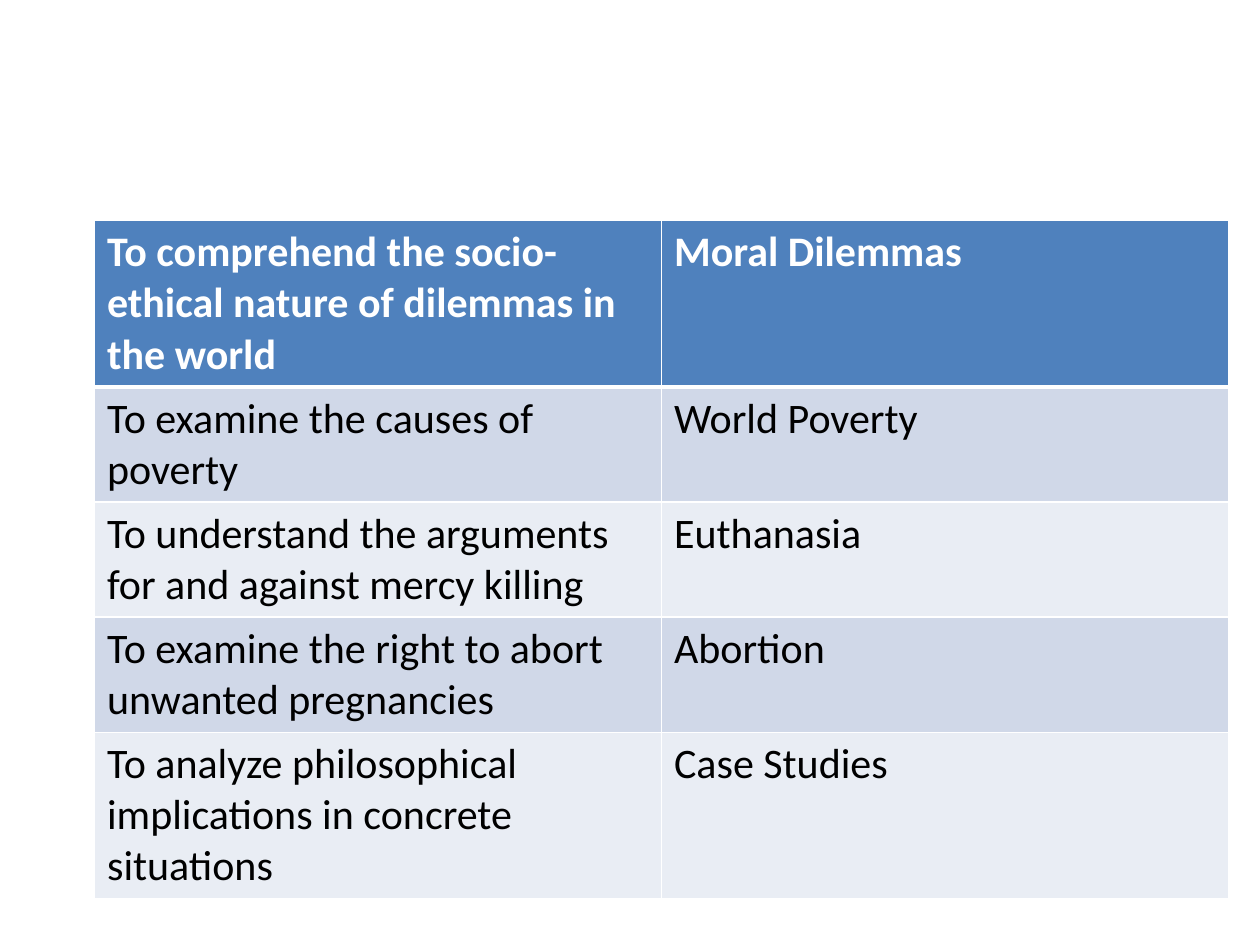
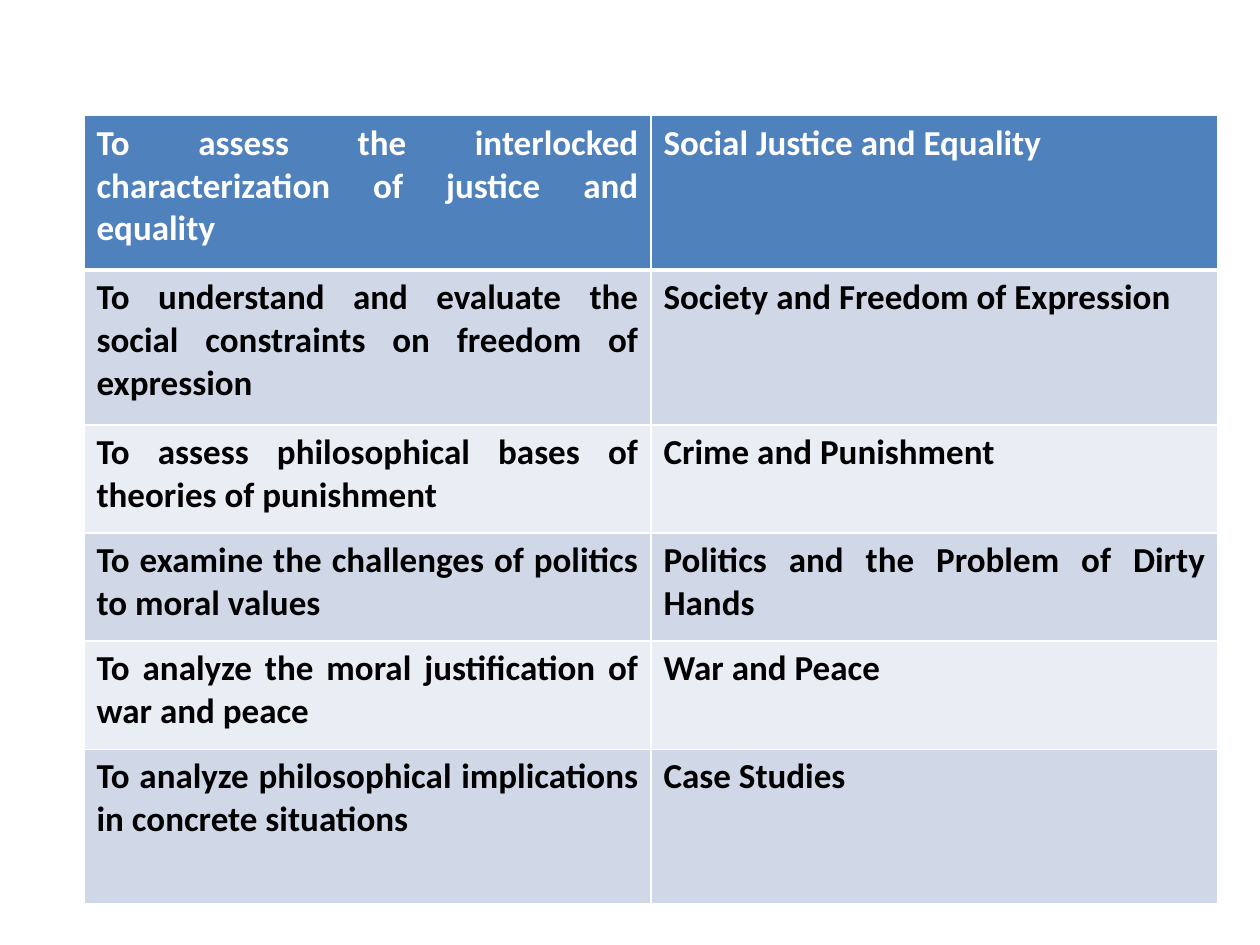
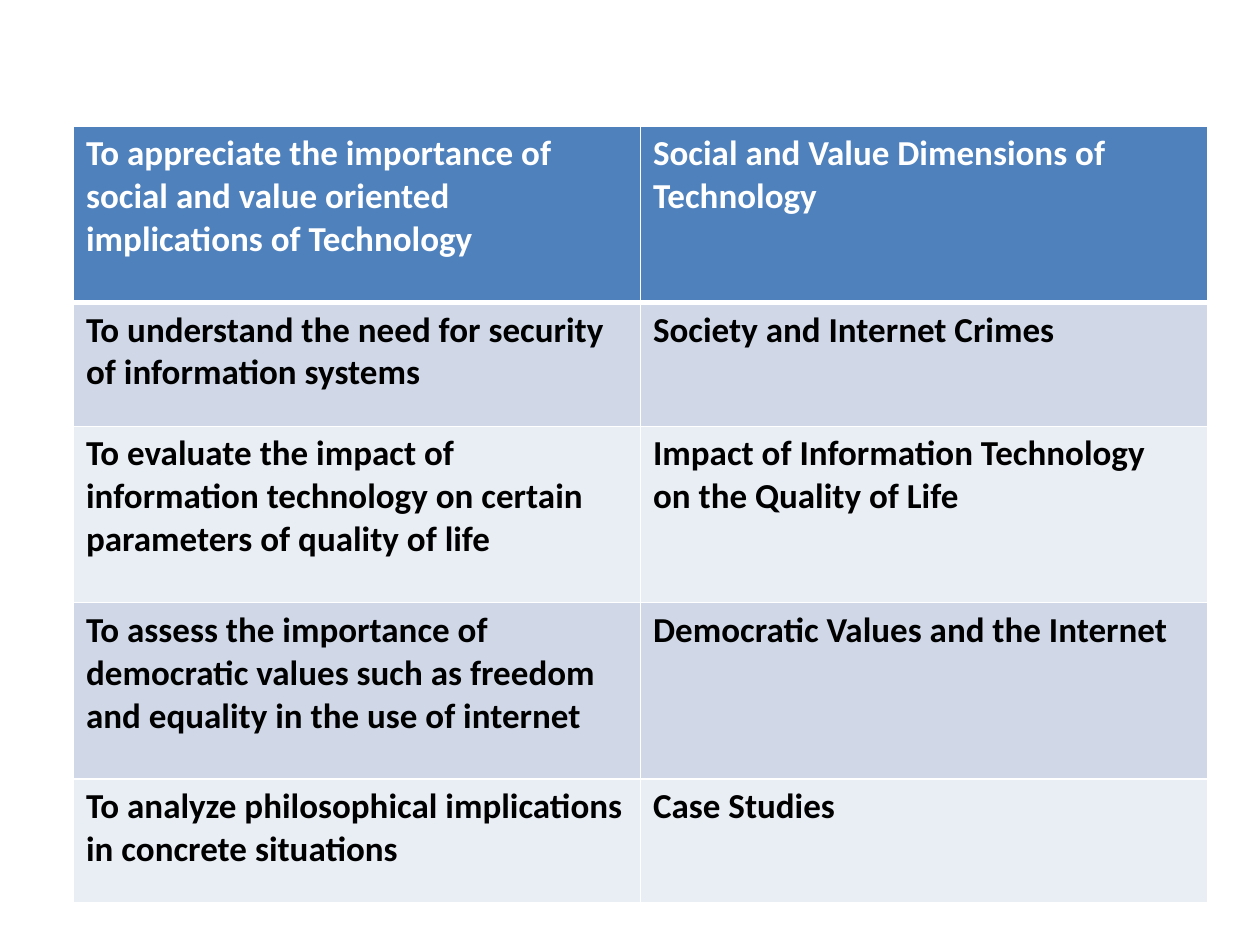
from dataclasses import dataclass

from lxml import etree
from pptx import Presentation
from pptx.dml.color import RGBColor
from pptx.enum.text import PP_ALIGN
from pptx.oxml.ns import qn
from pptx.util import Pt

LEFT = PP_ALIGN.LEFT
JUST = PP_ALIGN.JUSTIFY
BLANK = 6


@dataclass(frozen=True)
class Theme:
    face: str = "Calibri"
    large: int = 24
    small: int = 20
    head: str = "4F81BD"
    bands: tuple = ("D0D8E8", "E9EDF4")
    light: str = "FFFFFF"
    dark: str = "000000"
    thin: int = 1
    thick: int = 3


class Deck:
    def __init__(self, theme):
        self.theme = theme
        self.file = Presentation()
        self.file.slide_width = Pt(720)
        self.file.slide_height = Pt(540)
        self.slide = None

    def page(self):
        self.slide = self.file.slides.add_slide(self.file.slide_layouts[BLANK])

    def edge(self, cell, side, width):
        props = cell._tc.get_or_add_tcPr()
        line = etree.SubElement(props, qn("a:" + side), w=str(Pt(width)))
        fill = etree.SubElement(line, qn("a:solidFill"))
        etree.SubElement(fill, qn("a:srgbClr"), val=self.theme.light)

    def cell(self, cell, text, row, size, bold, align):
        theme = self.theme
        first = row == 0
        widths = {
            "lnL": theme.thin,
            "lnR": theme.thin,
            "lnT": theme.thick if row == 1 else theme.thin,
            "lnB": theme.thick if first else theme.thin,
        }
        for side, width in widths.items():
            self.edge(cell, side, width)
        cell.fill.solid()
        shade = theme.head if first else theme.bands[(row - 1) % 2]
        cell.fill.fore_color.rgb = RGBColor.from_string(shade)
        cell.text = text
        style = {"name": theme.face, "size": Pt(size), "bold": first or bold}
        ink = RGBColor.from_string(theme.light if first else theme.dark)
        for para in cell.text_frame.paragraphs:
            para.alignment = align
            for run in para.runs:
                for key, value in style.items():
                    setattr(run.font, key, value)
                run.font.color.rgb = ink

    def table(self, left, top, highs, rows, size, bold=True, align=LEFT):
        box = [Pt(n) for n in (left, top, 648, sum(highs))]
        grid = self.slide.shapes.add_table(len(rows), 2, *box).table
        for row, (high, texts) in enumerate(zip(highs, rows)):
            grid.rows[row].height = Pt(high)
            for col, text in enumerate(texts):
                self.cell(grid.cell(row, col), text, row, size, bold, align)

    def save(self):
        self.file.save("out.pptx")


CASES = ("To analyze philosophical implications in concrete situations", "Case Studies")

MORAL = [
    ("To comprehend the socio-ethical nature of dilemmas in the world", "Moral Dilemmas"),
    ("To examine the causes of poverty", "World Poverty"),
    ("To understand the arguments for and against mercy killing", "Euthanasia"),
    ("To examine the right to abort\nunwanted pregnancies", "Abortion"),
    CASES,
]

STATE = [
    ("To assess the interlocked characterization of justice and equality",
     "Social Justice and Equality"),
    ("To understand and evaluate the social constraints on freedom of expression",
     "Society and Freedom of Expression"),
    ("To assess philosophical bases of theories of punishment", "Crime and Punishment"),
    ("To examine the challenges of politics to moral values",
     "Politics and the Problem of Dirty Hands"),
    ("To analyze the moral justification of war and peace", "War and Peace"),
    CASES,
]

TECH = [
    ("To appreciate the importance of social and value oriented implications of Technology",
     "Social and Value Dimensions of\nTechnology"),
    ("To understand the need for security of information systems",
     "Society and Internet Crimes"),
    ("To evaluate the impact of information technology on certain parameters of quality of life",
     "Impact of Information Technology\non the Quality of Life"),
    ("To assess the importance of democratic values such as freedom "
     "and equality in the use of internet",
     "Democratic Values and the Internet"),
    CASES,
]


def main():
    theme = Theme()
    deck = Deck(theme)

    deck.page()
    deck.table(54, 126, [94, 65, 65, 65, 94], MORAL, theme.large, bold=False)

    deck.page()
    tall, short = 88.4, 61.8
    deck.table(48, 66, [tall, tall, short, short, short, tall], STATE, theme.small, align=JUST)

    deck.page()
    tall, short = 100.8, 70.8
    deck.table(42, 72, [tall, short, tall, tall, short], TECH, theme.small)

    deck.save()


main()
